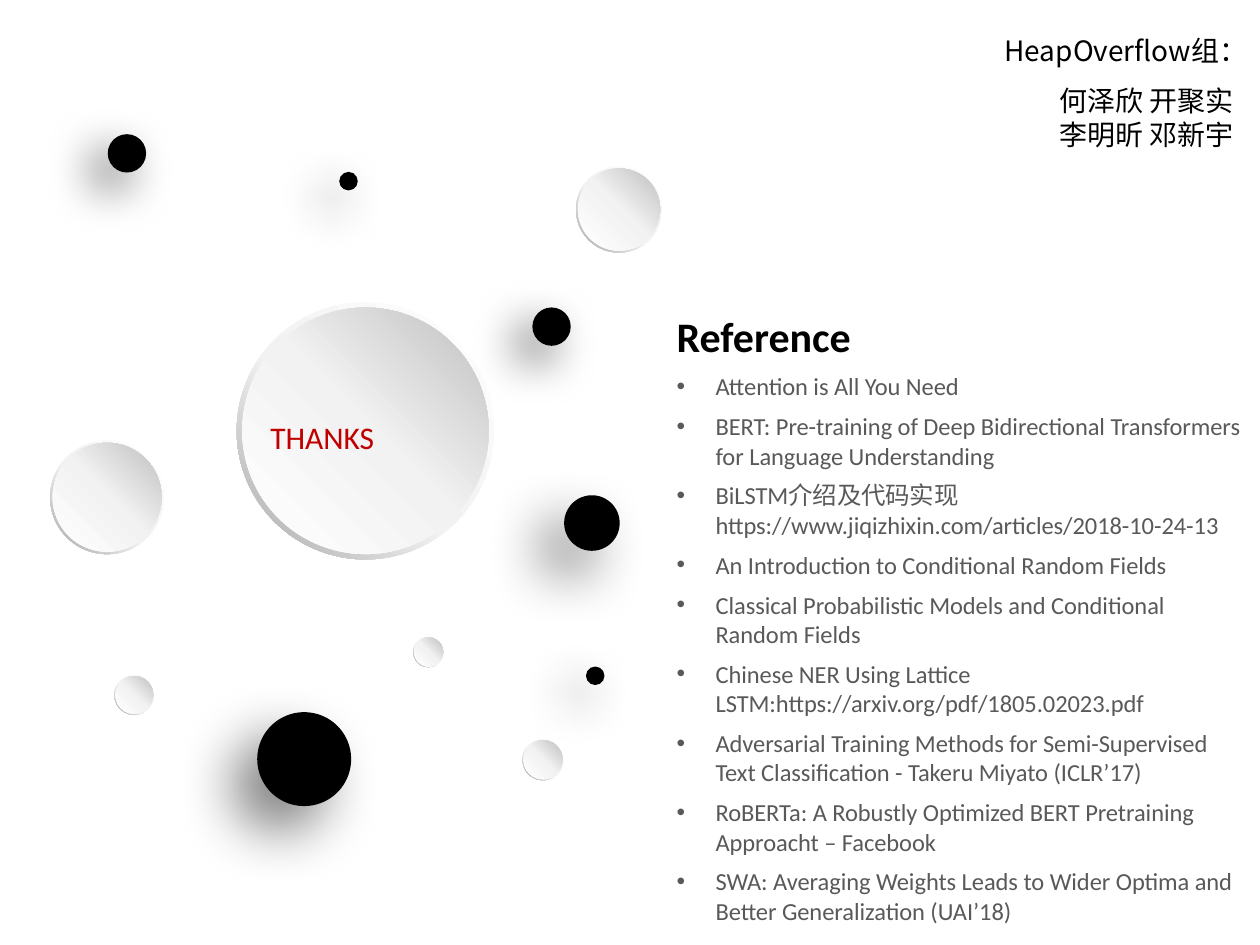
from lxml.etree import SubElement
from pptx import Presentation
from pptx.dml.color import RGBColor
from pptx.enum.shapes import MSO_SHAPE
from pptx.enum.text import PP_ALIGN
from pptx.oxml import parse_xml
from pptx.oxml.ns import nsdecls, qn
from pptx.util import Cm, Pt

COLORS = {"black": "000000", "red": "C00000", "gray": "595959",
          "white": "FFFFFF", "pale": "F2F2F2", "rim": "A6A6A6", "disc": "BFBFBF"}
LATIN, CJK = "Calibri", "Noto Sans CJK SC"

TEAM = ["HeapOverflow组：", "何泽欣 开聚实", "李明昕 邓新宇"]
REFERENCES = [
    "Attention is All You Need",
    "BERT: Pre-training of Deep Bidirectional Transformers for Language Understanding",
    "BiLSTM介绍及代码实现 https://www.jiqizhixin.com/articles/2018-10-24-13",
    "An Introduction to Conditional Random Fields",
    "Classical Probabilistic Models and Conditional Random Fields",
    "Chinese NER Using Lattice LSTM:https://arxiv.org/pdf/1805.02023.pdf",
    "Adversarial Training Methods for Semi-Supervised Text Classification - Takeru Miyato (ICLR’17)",
    "RoBERTa: A Robustly Optimized BERT Pretraining Approacht – Facebook",
    "SWA: Averaging Weights Leads to Wider Optima and Better Generalization (UAI’18)",
]
BUTTONS = [(3.58, 4.57, 3.89), (7.9, 11.18, 0.62), (8.71, 2.52, 1.3),
           (6.25, 9.63, 0.46), (1.73, 10.21, 0.6), (0.76, 6.66, 1.72)]
DOTS = [(1.63, 2.03, 0.58), (8.05, 4.65, 0.58), (3.89, 10.77, 1.42),
        (8.86, 10.08, 0.28), (8.53, 7.49, 0.84), (5.13, 2.6, 0.28)]
RIM_STOPS = [(0, "white"), (55, "pale"), (100, "rim")]
DISC_STOPS = [(0, "white"), (51, "pale"), (100, "disc")]


def add_round(s, kind, x, y, d):
    sp = s.shapes.add_shape(kind, Cm(x), Cm(y), Cm(d), Cm(d))
    sp.shadow.inherit = False
    sp.line.fill.background()
    return sp


def set_gradient(sp, stops, angle):
    gs = "".join(f'<a:gs pos="{pos * 1000}"><a:srgbClr val="{COLORS[c]}"/></a:gs>'
                 for pos, c in stops)
    grad = parse_xml(f'<a:gradFill {nsdecls("a")} rotWithShape="1"><a:gsLst>{gs}</a:gsLst>'
                     f'<a:lin ang="{angle * 60000}" scaled="0"/></a:gradFill>')
    sp.fill.background()
    props = sp._element.spPr
    props.replace(props.find(qn("a:noFill")), grad)


def add_button(s, x, y, d):
    ring = add_round(s, MSO_SHAPE.DONUT, x, y, d)
    ring.adjustments[0] = 0.049
    set_gradient(ring, RIM_STOPS, 135)
    inset = 0.021 * d
    disc = add_round(s, MSO_SHAPE.OVAL, x + inset, y + inset, d - 2 * inset)
    set_gradient(disc, DISC_STOPS, 315)


def add_dot(s, x, y, d):
    sp = add_round(s, MSO_SHAPE.OVAL, x, y, d)
    sp.fill.solid()
    sp.fill.fore_color.rgb = RGBColor.from_string(COLORS["black"])
    alpha, blur, dist = (50, 25, 15) if d > 0.7 else (60, 20, 10)
    effects = sp._element.spPr.find(qn("a:effectLst"))
    shadow = SubElement(effects, qn("a:outerShdw"), blurRad=str(Pt(blur)),
                        dist=str(Pt(dist)), dir=str(135 * 60000),
                        algn="ctr", rotWithShape="0")
    color = SubElement(shadow, qn("a:srgbClr"), val=COLORS["black"])
    SubElement(color, qn("a:alpha"), val=str(alpha * 1000))


def add_text(s, x, y, w, h, lines):
    tf = s.shapes.add_textbox(Cm(x), Cm(y), Cm(w), Cm(h)).text_frame
    tf.word_wrap = True
    tf.text = "\n".join(lines)
    return tf.paragraphs


def style(p, size, color, latin=LATIN, bold=False):
    for r in p.runs:
        r.font.size, r.font.bold, r.font.name = Pt(size), bold, latin
        r.font.color.rgb = RGBColor.from_string(COLORS[color])
        SubElement(r._r.get_or_add_rPr(), qn("a:ea"), typeface=CJK)


def add_bullet(p):
    props = p._p.get_or_add_pPr()
    props.set("marL", str(Cm(0.59)))
    props.set("indent", str(-Cm(0.59)))
    SubElement(props, qn("a:buFont"), typeface="Arial")
    SubElement(props, qn("a:buChar"), char="•")


def main():
    prs = Presentation()
    prs.slide_width, prs.slide_height = Cm(19.05), Cm(14.29)
    s = prs.slides.add_slide(prs.slide_layouts[6])

    for button in BUTTONS:
        add_button(s, *button)
    for dot in DOTS:
        add_dot(s, *dot)

    style(add_text(s, 3.84, 6.2, 3.58, 0.84, ["THANKS"])[0], 13.5, "red")

    group, *members = add_text(s, 14.94, 0.38, 3.96, 2.06, TEAM)
    group.space_after = Pt(7.3)
    for p in members:
        p.alignment = PP_ALIGN.RIGHT
    for p in (group, *members):
        style(p, 12, "black", CJK)

    heading, *items = add_text(s, 9.98, 4.57, 9.07, 9.8, ["Reference", *REFERENCES])
    style(heading, 18, "black", bold=True)
    heading.space_after = Pt(4.5)
    for p in items:
        p.space_after = Pt(4.5)
        add_bullet(p)
        style(p, 10.5, "gray")

    prs.save("out.pptx")


if __name__ == "__main__":
    main()
